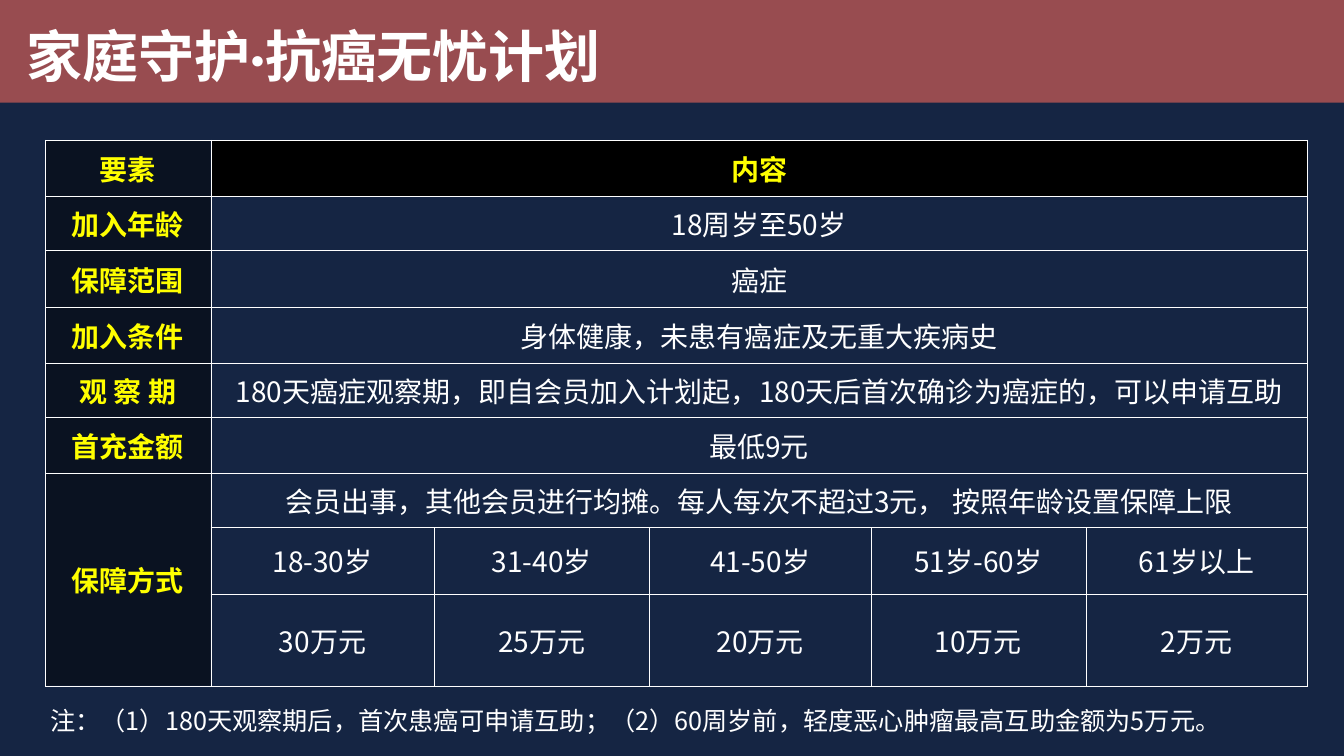
from dataclasses import dataclass

from lxml import etree
from pptx import Presentation
from pptx import util as u
from pptx.dml.color import RGBColor
from pptx.enum import shapes, text
from pptx.oxml.ns import qn


@dataclass(frozen=True)
class Theme:
    background: str = "152543"
    band: str = "984C50"
    white: str = "FFFFFF"
    yellow: str = "FFFF00"
    black: str = "000000"
    title_font: str = "Calibri"
    body_font: str = "Noto Sans CJK SC"
    title_size: int = 40
    table_size: int = 20
    note_size: int = 18


THEME = Theme()
COLUMN_WIDTHS = [4.17, 5.64, 5.41, 5.59, 5.41, 5.59]
ROW_HEIGHTS = [1.42, 1.35, 1.45, 1.4, 1.35, 1.42, 1.37, 1.68, 2.31]
THICK_BELOW_ROW = 2
PLAN_ROWS = [
    ["要素", "内容"],
    ["加入年龄", "18周岁至50岁"],
    ["保障范围", "癌症"],
    ["加入条件", "身体健康，未患有癌症及无重大疾病史"],
    ["观 察 期", "180天癌症观察期，即自会员加入计划起，180天后首次确诊为癌症的，可以申请互助"],
    ["首充金额", "最低9元"],
    ["保障方式", "会员出事，其他会员进行均摊。每人每次不超过3元， 按照年龄设置保障上限"],
    ["", "18-30岁", "31-40岁", "41-50岁", "51岁-60岁", "61岁以上"],
    ["", "30万元", "25万元", "20万元", "10万元", "2万元"],
]
NOTE = "注：（1）180天观察期后，首次患癌可申请互助；（2）60周岁前，轻度恶心肿瘤最高互助金额为5万元。"


def apply_format(target, values):
    for name, value in values.items():
        setattr(target, name, value)


def fill_solid(fill, color):
    fill.solid()
    fill.fore_color.rgb = RGBColor.from_string(color)


def write_text(frame, content, color, alignment=text.PP_ALIGN.LEFT, **font_values):
    paragraph = frame.paragraphs[0]
    paragraph.alignment = alignment
    run = paragraph.add_run()
    run.text = content
    apply_format(run.font, font_values)
    run.font.color.rgb = RGBColor.from_string(color)
    east_asian = etree.SubElement(run.font._element, qn("a:ea"))
    east_asian.set("typeface", THEME.body_font)


def add_title_band(slide, box):
    left, top, width, height = box
    band = slide.shapes.add_shape(
        shapes.MSO_SHAPE.RECTANGLE, *(u.Cm(value) for value in box))
    band.shadow.inherit = False
    fill_solid(band.fill, THEME.band)
    band.line.fill.background()

    title = slide.shapes.title
    band._element.addnext(title._element)
    apply_format(title, {
        "left": u.Cm(left + 0.41), "top": u.Cm(top + 0.41),
        "width": u.Cm(18.9), "height": u.Cm(height - 0.63),
    })
    apply_format(title.text_frame, {
        "word_wrap": True, "auto_size": text.MSO_AUTO_SIZE.NONE,
        "vertical_anchor": text.MSO_ANCHOR.MIDDLE,
    })
    write_text(title.text_frame, "家庭守护·抗癌无忧计划", THEME.white,
               name=THEME.title_font, size=u.Pt(THEME.title_size), bold=True)


def set_borders(cell, row):
    widths = {
        "L": 0.25, "R": 0.25,
        "T": 1 if row == THICK_BELOW_ROW + 1 else 0.25,
        "B": 1 if row == THICK_BELOW_ROW else 0.25,
    }
    properties = cell._tc.get_or_add_tcPr()
    for side, width in widths.items():
        line = etree.SubElement(properties, qn(f"a:ln{side}"), w=str(u.Pt(width)))
        solid = etree.SubElement(line, qn("a:solidFill"))
        etree.SubElement(solid, qn("a:srgbClr"), val=THEME.white)


def fill_cell(cell, row, column):
    if row > 0 and column > 0:
        cell.fill.background()
        return
    fill_solid(cell.fill, THEME.black)
    if column == 0:
        color = cell._tc.tcPr.find(f"{qn('a:solidFill')}/{qn('a:srgbClr')}")
        etree.SubElement(color, qn("a:alpha"), val="50000")


def add_plan_table(slide, box):
    row_count, column_count = len(PLAN_ROWS), len(COLUMN_WIDTHS)
    table = slide.shapes.add_table(
        row_count, column_count, *(u.Cm(value) for value in box)).table
    apply_format(table, {"first_row": False, "horz_banding": False})
    for column, width in zip(table.columns, COLUMN_WIDTHS):
        column.width = u.Cm(width)
    for row, height in zip(table.rows, ROW_HEIGHTS):
        row.height = u.Cm(height)

    for row, contents in enumerate(PLAN_ROWS):
        for column in range(column_count):
            cell = table.cell(row, column)
            apply_format(cell, {
                "margin_left": u.Cm(0.15), "margin_right": u.Cm(0.15),
                "margin_top": 0, "margin_bottom": 0,
                "vertical_anchor": text.MSO_ANCHOR.MIDDLE,
            })
            set_borders(cell, row)
            fill_cell(cell, row, column)
            if column < len(contents) and contents[column]:
                heading = row == 0 or column == 0
                write_text(cell.text_frame, contents[column],
                           THEME.yellow if heading else THEME.white,
                           text.PP_ALIGN.CENTER, name=THEME.body_font,
                           size=u.Pt(THEME.table_size), bold=heading)
        if len(contents) == 2:
            table.cell(row, 1).merge(table.cell(row, column_count - 1))
    table.cell(row_count - 3, 0).merge(table.cell(row_count - 1, 0))


def add_note(slide, box):
    note = slide.shapes.add_textbox(*(u.Cm(value) for value in box))
    note.text_frame.word_wrap = True
    write_text(note.text_frame, NOTE, THEME.white,
               name=THEME.body_font, size=u.Pt(THEME.note_size))


def build_plan_slide(presentation):
    slide = presentation.slides.add_slide(presentation.slide_layouts[5])
    fill_solid(slide.background.fill, THEME.background)
    add_title_band(slide, (0, 0, 33.87, 2.59))
    add_plan_table(slide, (1.14, 3.53, sum(COLUMN_WIDTHS), sum(ROW_HEIGHTS)))
    add_note(slide, (1.02, 17.65, 31.39, 1.02))


def main():
    presentation = Presentation()
    apply_format(presentation, {
        "slide_width": u.Cm(33.87), "slide_height": u.Cm(19.05)})
    build_plan_slide(presentation)
    presentation.save("out.pptx")


if __name__ == "__main__":
    main()
